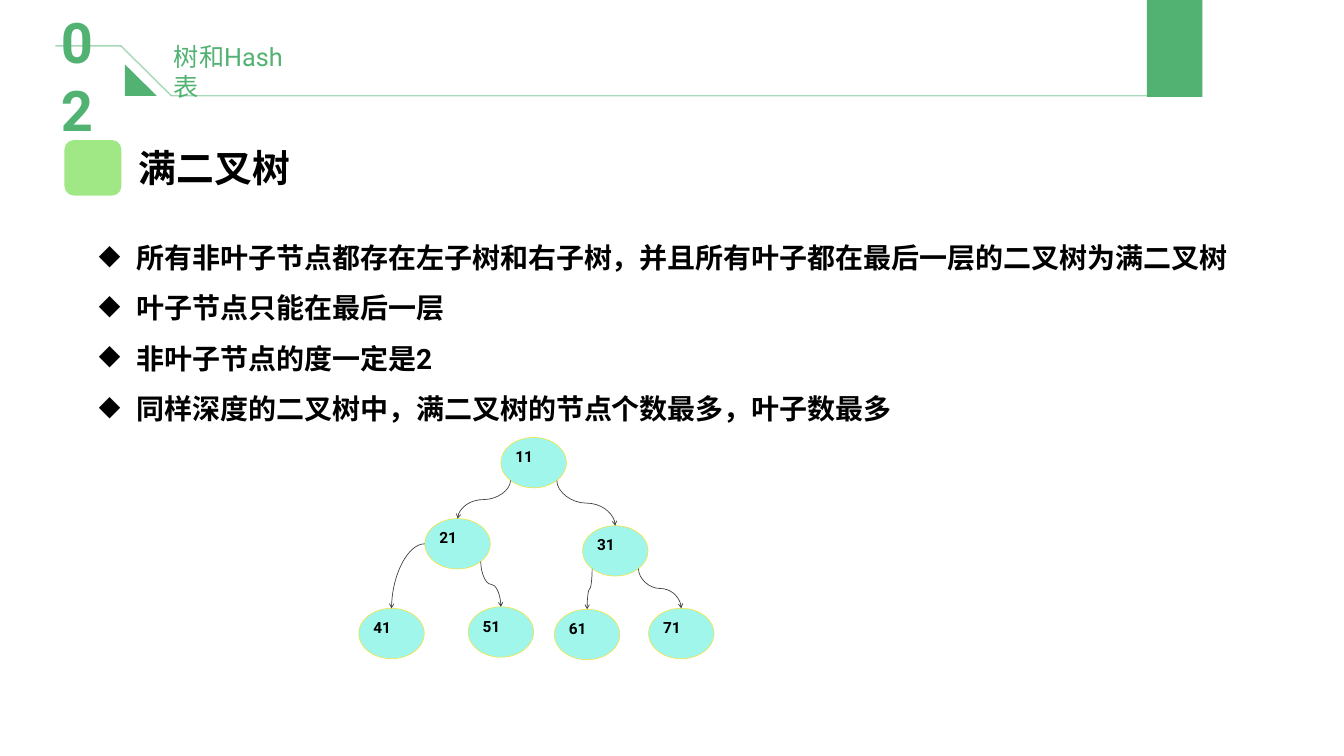
from math import sqrt

from pptx import Presentation
from pptx.dml.color import RGBColor
from pptx.enum import shapes, text
from pptx.oxml import ns, xmlchemy
from pptx.util import Inches, Pt

GREEN = RGBColor(0x51, 0xB2, 0x72)
LIME = RGBColor(0xA0, 0xE8, 0x86)
AQUA = RGBColor(0xA1, 0xF6, 0xEC)
YELLOW = RGBColor(0xF9, 0xE1, 0x2C)
GRAY = RGBColor(0x40, 0x40, 0x40)
BLACK = RGBColor(0, 0, 0)

NODE_W, NODE_H = 1.3, 1
NODES = {
    "11": (9.94, 8.68),
    "21": (8.43, 10.29),
    "31": (11.56, 10.43),
    "41": (7.12, 12.07),
    "51": (9.29, 12.04),
    "61": (11, 12.09),
    "71": (12.87, 12.07),
}
BRANCHES = [("11", "21", -1), ("11", "31", 1), ("21", "51", 1),
            ("31", "61", -1), ("31", "71", 1)]
FACTS = [
    "所有非叶子节点都存在左子树和右子树，并且所有叶子都在最后一层的二叉树为满二叉树",
    "叶子节点只能在最后一层",
    "非叶子节点的度一定是2",
    "同样深度的二叉树中，满二叉树的节点个数最多，叶子数最多",
]


class SlideBuilder:
    font = "Roboto"

    def __init__(self, slide):
        self.slide = slide

    def add_run(self, paragraph, words, size, color, bold):
        run = paragraph.add_run()
        run.text = words
        run.font.size = Pt(size)
        run.font.bold = bold
        run.font.color.rgb = color
        run.font.name = self.font
        east_asian = xmlchemy.OxmlElement("a:ea")
        east_asian.set("typeface", self.font)
        run.font._element.append(east_asian)

    def fill_frame(self, frame, lines, size, color=BLACK, bold=True, margins=(0.2, 0.1),
                   anchor=text.MSO_ANCHOR.TOP, align=text.PP_ALIGN.LEFT,
                   wrap=True, bullet=None, spacing=None):
        frame.auto_size = text.MSO_AUTO_SIZE.NONE
        frame.word_wrap = wrap
        frame.vertical_anchor = anchor
        frame.margin_left = frame.margin_right = Inches(margins[0])
        frame.margin_top = frame.margin_bottom = Inches(margins[1])
        for index, words in enumerate(lines):
            paragraph = frame.add_paragraph() if index else frame.paragraphs[0]
            paragraph.alignment = align
            if spacing:
                paragraph.line_spacing = spacing
            if bullet:
                properties = paragraph._p.get_or_add_pPr()
                properties.set("marL", str(Inches(0.75)))
                properties.set("indent", str(-Inches(0.75)))
                mark = xmlchemy.OxmlElement("a:buChar")
                mark.set("char", bullet)
                properties.append(mark)
            self.add_run(paragraph, words, size, color, bold)

    def title(self, box, words, size):
        heading = self.slide.shapes.title
        heading.left, heading.top, heading.width, heading.height = map(Inches, box)
        self.fill_frame(heading.text_frame, [words], size,
                        align=text.PP_ALIGN.CENTER, wrap=False)

    def textbox(self, box, lines, size, **style):
        area = self.slide.shapes.add_textbox(*map(Inches, box))
        self.fill_frame(area.text_frame, lines, size, **style)

    def paint(self, shape, fill, line=None):
        shape.shadow.inherit = False
        shape.fill.solid()
        shape.fill.fore_color.rgb = fill
        if line:
            shape.line.color.rgb = line
            shape.line.width = Pt(0.75)
        else:
            shape.line.fill.background()

    def block(self, kind, box, fill, line=None):
        shape = self.slide.shapes.add_shape(kind, *map(Inches, box))
        self.paint(shape, fill, line)
        return shape

    def polygon(self, points, fill):
        corners = [(Inches(x), Inches(y)) for x, y in points]
        outline = self.slide.shapes.build_freeform(*corners[0])
        outline.add_line_segments(corners[1:], close=True)
        self.paint(outline.convert_to_shape(), fill)

    def node(self, label, position):
        oval = self.block(shapes.MSO_SHAPE.OVAL, (*position, NODE_W, NODE_H), AQUA, YELLOW)
        self.fill_frame(oval.text_frame, [label], 22, margins=(0.1, 0.05))

    def line(self, start, end, color, width, kind=shapes.MSO_CONNECTOR.STRAIGHT):
        connector = self.slide.shapes.add_connector(kind, *map(Inches, (*start, *end)))
        connector.line.color.rgb = color
        connector.line.width = Pt(width)
        connector._element.spPr.append(xmlchemy.OxmlElement("a:effectLst"))
        return connector

    def rule(self, start, end):
        connector = self.line(start, end, GREEN, 2)
        alpha = xmlchemy.OxmlElement("a:alpha")
        alpha.set("val", "50000")
        connector.line._ln.find(".//" + ns.qn("a:srgbClr")).append(alpha)

    def arrow(self, start, end):
        connector = self.line(start, end, GRAY, 1, shapes.MSO_CONNECTOR.CURVE)
        tail = xmlchemy.OxmlElement("a:tailEnd")
        tail.set("type", "arrow")
        connector.line._ln.append(tail)
        return connector._element.spPr

    def falling_arrow(self, start, end):
        (x1, y1), (x2, y2) = start, end
        middle_x, middle_y = (x1 + x2) / 2, (y1 + y2) / 2
        half_w, half_h = (y2 - y1) / 2, (x2 - x1) / 2
        properties = self.arrow((middle_x - half_w, middle_y + half_h),
                                (middle_x + half_w, middle_y - half_h))
        properties.find(ns.qn("a:xfrm")).set("rot", str(90 * 60000))

    def side_arrow(self, start, end):
        properties = self.arrow(start, end)
        properties.find(ns.qn("a:prstGeom")).set("prst", "curvedConnector2")


def top_of(label):
    x, y = NODES[label]
    return x + NODE_W / 2, y


def lower_corner_of(label, side):
    x, y = NODES[label]
    reach = sqrt(0.5)
    return x + NODE_W / 2 * (1 + side * reach), y + NODE_H / 2 * (1 + reach)


def main():
    deck = Presentation()
    deck.slide_width, deck.slide_height = Inches(26.67), Inches(15)
    page = SlideBuilder(deck.slides.add_slide(deck.slide_layouts[5]))

    page.title((2.53, 2.78, 3.45, 1.11), "满二叉树", 54)

    for label, position in NODES.items():
        page.node(label, position)
    for parent, child, side in BRANCHES:
        page.falling_arrow(lower_corner_of(parent, side), top_of(child))
    left, top = NODES["21"]
    page.side_arrow((left, top + NODE_H / 2), top_of("41"))

    page.textbox((1.76, 4.34, 23.11, 4.08), FACTS, 40, bullet="◆", spacing=1.5)

    header = dict(color=GREEN, margins=(0.06, 0.06), anchor=text.MSO_ANCHOR.MIDDLE)
    page.textbox((1.15, 0.76, 1.24, 1.46), ["02"], 80, **header)
    page.block(shapes.MSO_SHAPE.RECTANGLE, (22.76, 0, 1.1, 1.92), GREEN)
    page.rule((3.39, 1.9), (22.84, 1.9))
    page.rule((2.4, 0.91), (3.4, 1.9))
    page.rule((1.1, 0.91), (2.41, 0.91))
    page.polygon([(2.48, 1.28), (2.48, 1.9), (3.11, 1.9)], GREEN)
    page.textbox((3.39, 1.05, 2.64, 0.72), ["树和Hash表"], 36, bold=False, **header)
    page.block(shapes.MSO_SHAPE.ROUNDED_RECTANGLE, (1.28, 2.78, 1.13, 1.1), LIME)

    deck.save("out.pptx")


if __name__ == "__main__":
    main()
